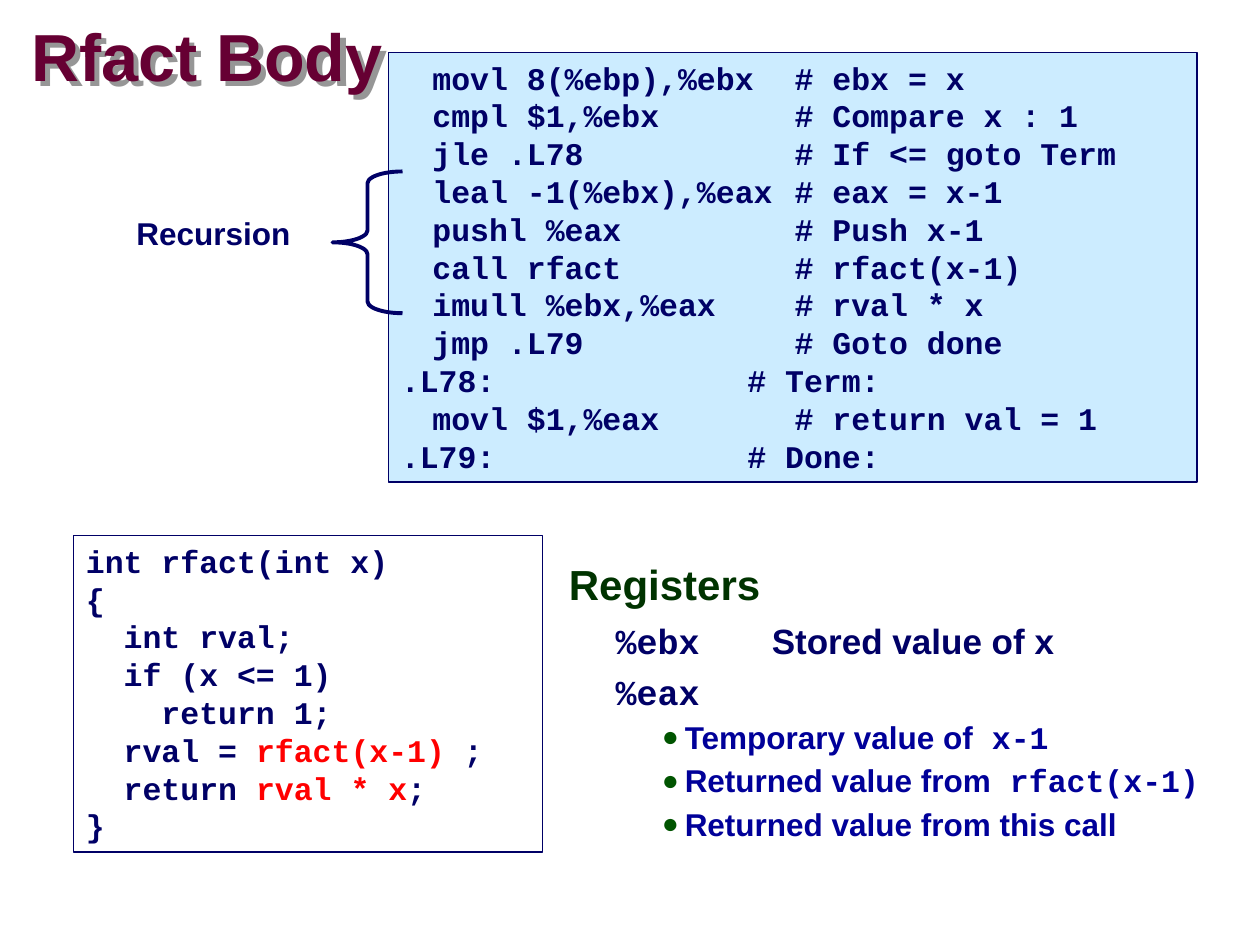
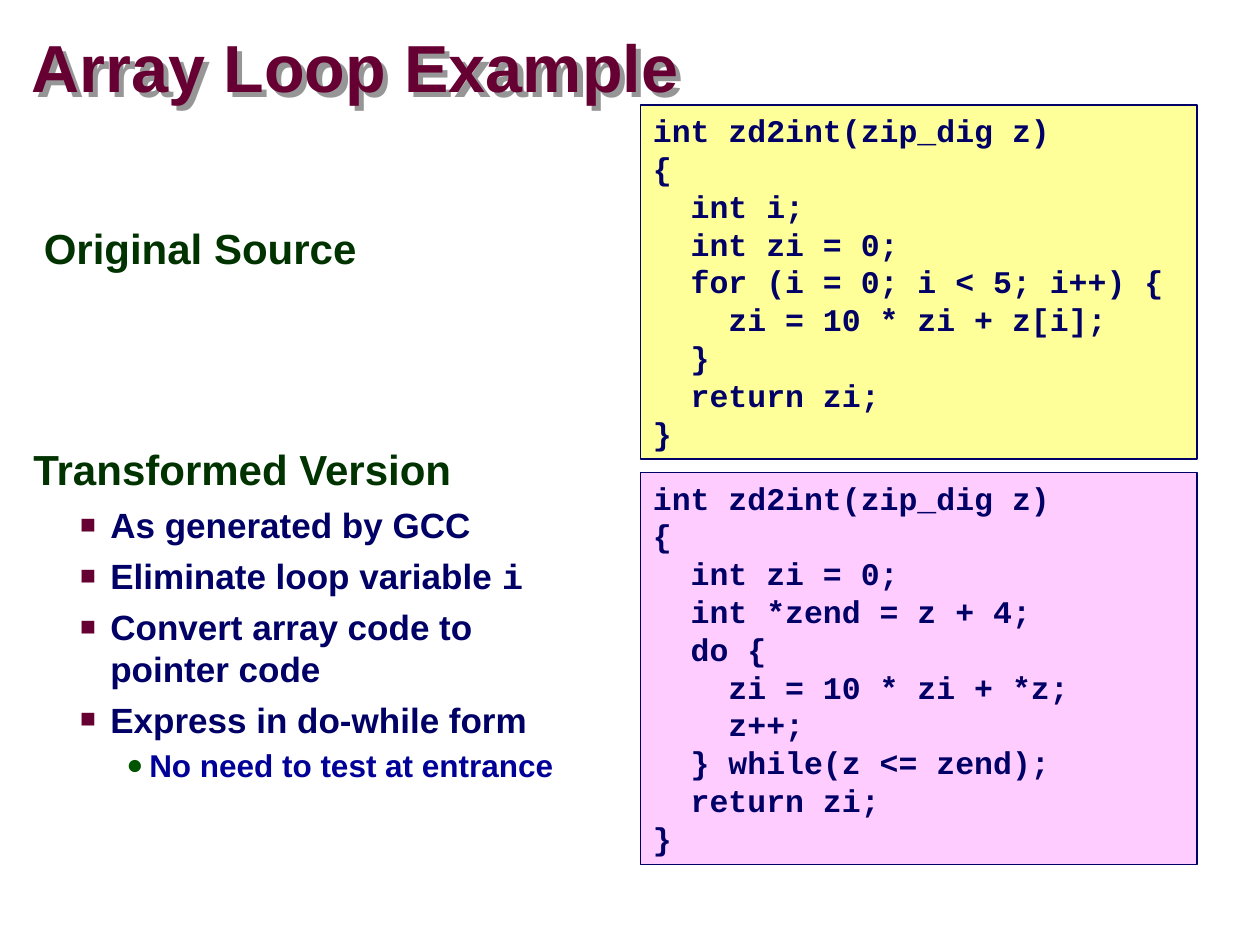
from dataclasses import dataclass
from lxml.etree import SubElement
from pptx import Presentation
from pptx.dml.color import RGBColor
from pptx.enum.shapes import MSO_SHAPE
from pptx.enum.text import MSO_ANCHOR, MSO_AUTO_SIZE, PP_ALIGN
from pptx.oxml.ns import qn
from pptx.util import Pt


@dataclass(frozen=True)
class Theme:
    sans: str = "Arial"
    mono: str = "Courier New"
    maroon: str = "660033"
    green: str = "003300"
    navy: str = "000066"
    blue: str = "000099"
    bullet_green: str = "005400"
    red: str = "FF0000"
    shadow: str = "969696"
    pale_blue: str = "CCECFF"
    yellow: str = "FFFF99"
    pink: str = "FFCCFF"
    title_size: float = 38
    heading_size: float = 24
    item_size: float = 20
    text_size: float = 18


THEME = Theme()

# Text formats
TITLE = {"name": THEME.sans, "size": THEME.title_size, "color": THEME.maroon}
LABEL = {"name": THEME.sans, "size": THEME.text_size, "color": THEME.navy}
CODE = {**LABEL, "name": THEME.mono}
MONO = {"name": THEME.mono}
HIGHLIGHT = {"color": THEME.red}

# Outline levels: text format, paragraph spacing, left margin and hanging indent
LEVELS = [
    {"font": {"name": THEME.sans, "size": THEME.heading_size, "color": THEME.green},
     "spacing": {"line_spacing": 0.95}, "margin": 17.25, "hang": 17.25},
    {"font": {"name": THEME.sans, "size": THEME.item_size, "color": THEME.navy},
     "spacing": {"line_spacing": 1.0, "space_before": Pt(5)}, "margin": 44, "hang": 17.25},
    {"font": {"name": THEME.sans, "size": THEME.text_size, "color": THEME.blue},
     "spacing": {"line_spacing": 1.07, "space_before": Pt(1.8)}, "margin": 66.25, "hang": 13},
]
DEFAULT_TAB = 72
SQUARE = ("■", THEME.maroon, 75)
DISC = ("●", THEME.bullet_green, 90)

# Slide content; backquotes enclose text in the alternate format
ASSEMBLY = """\
\tmovl 8(%ebp),%ebx\t# ebx = x
\tcmpl $1,%ebx\t\t# Compare x : 1
\tjle .L78\t\t# If <= goto Term
\tleal -1(%ebx),%eax\t# eax = x-1
\tpushl %eax\t\t# Push x-1
\tcall rfact\t\t# rfact(x-1)
\timull %ebx,%eax\t\t# rval * x
\tjmp .L79\t\t# Goto done
.L78:\t# Term:
\tmovl $1,%eax\t\t# return val = 1
.L79:\t# Done:"""

RFACT = """\
int rfact(int x)
{
  int rval;
  if (x <= 1)
    return 1;
  rval = `rfact(x-1)` ;
  return `rval * x`;
}"""

FOR_LOOP = """\
int zd2int(zip_dig z)
{
  int i;
  int zi = 0;
  for (i = 0; i < 5; i++) {
    zi = 10 * zi + z[i];
  }
  return zi;
}"""

DO_LOOP = """\
int zd2int(zip_dig z)
{
  int zi = 0;
  int *zend = z + 4;
  do {
    zi = 10 * zi + *z;
    z++;
  } while(z <= zend);
  return zi;
}"""

REGISTERS = [
    (0, "Registers", None),
    (1, "`%ebx\t`Stored value of x", None),
    (1, "`%eax`", None),
    (2, "Temporary value of` x-1`", DISC),
    (2, "Returned value from` rfact(x-1)`", DISC),
    (2, "Returned value from this call", DISC),
]
TRANSFORMED = [
    (0, "Transformed Version", None),
    (1, "As generated by GCC", SQUARE),
    (1, "Eliminate loop variable `i`", SQUARE),
    (1, "Convert array code to pointer code", SQUARE),
    (1, "Express in do-while form", SQUARE),
    (2, "No need to test at entrance", DISC),
]


def apply(target, values):
    for name, value in values.items():
        setattr(target, name, value)


def add_spans(para, text, base, alternate):
    """Write text, switching to the alternate format between backquotes."""
    for index, piece in enumerate(text.split("`")):
        if not piece:
            continue
        look = {**base, **alternate} if index % 2 else base
        span = para.add_run()
        span.text = piece
        apply(span.font, {"name": look["name"], "size": Pt(look["size"]), "bold": True})
        span.font.color.rgb = RGBColor.from_string(look["color"])


def add_bullet(para, symbol, color, percent):
    props = para._p.get_or_add_pPr()
    SubElement(SubElement(props, qn("a:buClr")), qn("a:srgbClr"), val=color)
    SubElement(props, qn("a:buSzPct"), val=str(percent * 1000))
    SubElement(props, qn("a:buFont"), typeface=THEME.sans)
    SubElement(props, qn("a:buChar"), char=symbol)


def add_tabs(para, stops):
    tabs = SubElement(para._p.get_or_add_pPr(), qn("a:tabLst"))
    for stop in stops:
        SubElement(tabs, qn("a:tab"), pos=str(Pt(stop)), algn="l")


def next_para(frame, index):
    return frame.add_paragraph() if index else frame.paragraphs[0]


def add_box(page, place, **frame_values):
    box = page.shapes.add_textbox(*map(Pt, place))
    apply(box.text_frame, {"word_wrap": True, **frame_values})
    return box


def add_title(page, text, place):
    flush = dict.fromkeys(("margin_left", "margin_top", "margin_right", "margin_bottom"), 0)
    box = add_box(page, place, vertical_anchor=MSO_ANCHOR.MIDDLE, **flush)
    para = box.text_frame.paragraphs[0]
    para.line_spacing = 0.87
    add_spans(para, text, TITLE, {})
    # The box has no fill, so its shadow falls behind the letters
    effects = SubElement(box._element.spPr, qn("a:effectLst"))
    shadow = SubElement(effects, qn("a:outerShdw"), dist=str(Pt(4.2)), dir="2700000",
                        algn="ctr", rotWithShape="0")
    SubElement(shadow, qn("a:srgbClr"), val=THEME.shadow)


def add_outline(page, items, place, tab):
    frame = add_box(page, place).text_frame
    for index, (level, text, bullet) in enumerate(items):
        style = LEVELS[level]
        para = next_para(frame, index)
        if bullet:
            add_bullet(para, *bullet)
        add_tabs(para, [tab])
        apply(para, {"level": level, **style["spacing"]})
        props = para._p.get_or_add_pPr()
        lengths = {"marL": style["margin"], "indent": -style["hang"], "defTabSz": DEFAULT_TAB}
        for name, length in lengths.items():
            props.set(name, str(Pt(length)))
        add_spans(para, text, style["font"], MONO)


def add_outlined_shape(page, kind, place, weight, fill=None):
    shape = page.shapes.add_shape(kind, *map(Pt, place))
    shape.shadow.inherit = False
    shape.line.color.rgb = RGBColor.from_string(THEME.navy)
    shape.line.width = Pt(weight)
    if fill:
        shape.fill.solid()
        shape.fill.fore_color.rgb = RGBColor.from_string(fill)
    else:
        shape.fill.background()
    return shape


def add_code(page, code, place, fill=None, tabs=()):
    frame = add_outlined_shape(page, MSO_SHAPE.RECTANGLE, place, 1, fill).text_frame
    apply(frame, {"word_wrap": True, "vertical_anchor": MSO_ANCHOR.TOP,
                  "auto_size": MSO_AUTO_SIZE.SHAPE_TO_FIT_TEXT})
    for index, line in enumerate(code.splitlines()):
        para = next_para(frame, index)
        if tabs:
            add_tabs(para, tabs)
        para.alignment = PP_ALIGN.LEFT
        add_spans(para, line, CODE, HIGHLIGHT)


def add_brace(page, label, brace_place, label_place):
    brace = add_outlined_shape(page, MSO_SHAPE.LEFT_BRACE, brace_place, 2.25)
    brace.adjustments[0] = 0.169
    brace.adjustments[1] = 0.5
    para = add_box(page, label_place).text_frame.paragraphs[0]
    para.alignment = PP_ALIGN.RIGHT
    add_spans(para, label, LABEL, {})


def build_rfact(page):
    add_title(page, "Rfact Body", (18, 12, 246, 45.5))
    add_outline(page, REGISTERS, (318, 318, 385, 174), 85.5)
    add_code(page, ASSEMBLY, (222, 30, 462, 245.5), THEME.pale_blue, (18, 198, 225))
    add_code(page, RFACT, (42, 306, 268, 181))
    add_brace(page, "Recursion", (190, 98, 40, 81), (61, 119, 112, 29))


def build_array_loop(page):
    add_code(page, FOR_LOOP, (366, 60, 318, 202.5), THEME.yellow)
    add_title(page, "Array Loop Example", (18, 18, 582, 45.5))
    add_outline(page, [(0, "Original Source", None)], (18, 126, 318, 171), 90)
    add_code(page, DO_LOOP, (366, 270, 318, 224), THEME.pink)
    add_outline(page, TRANSFORMED, (12, 252, 324, 222), 90)


def main():
    deck = Presentation()
    apply(deck, {"slide_width": Pt(720), "slide_height": Pt(540)})
    for build in (build_rfact, build_array_loop):
        build(deck.slides.add_slide(deck.slide_layouts[6]))
    deck.save("out.pptx")


if __name__ == "__main__":
    main()
